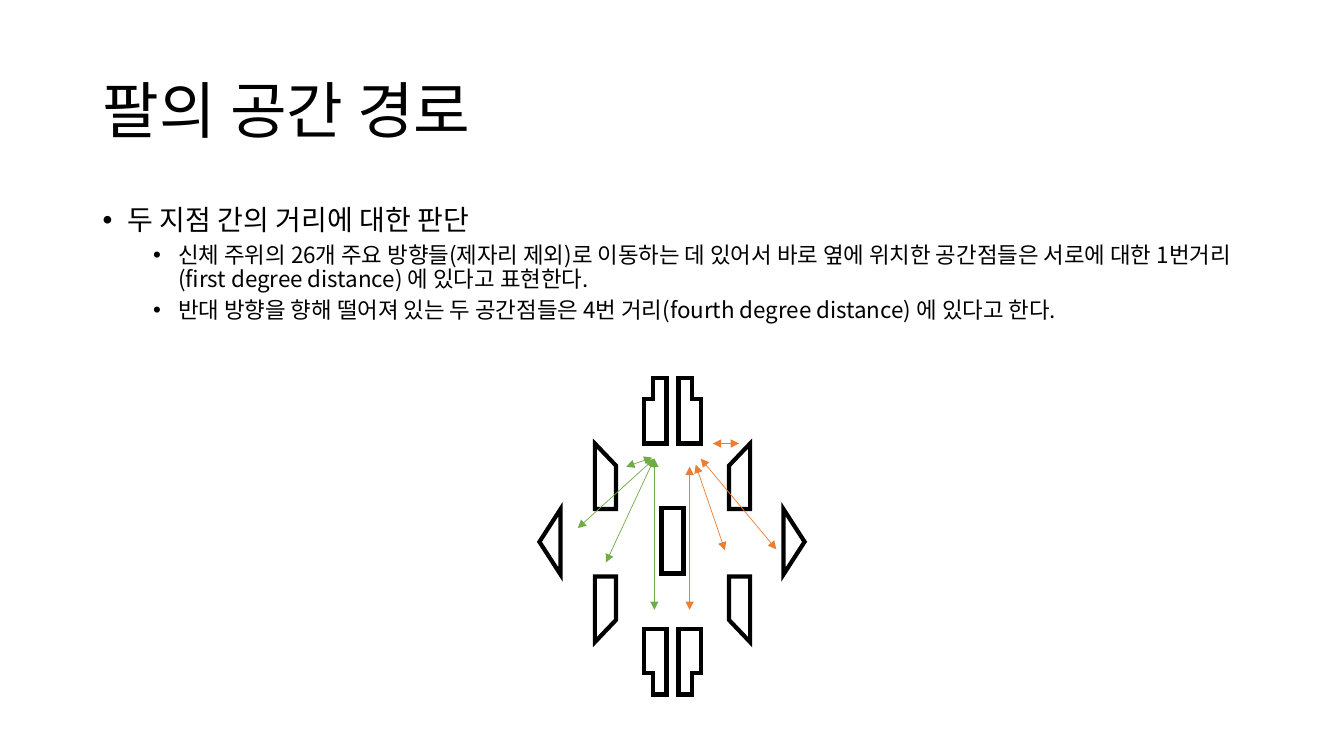
from itertools import product

from lxml.etree import SubElement
from pptx import Presentation
from pptx.dml.color import RGBColor
from pptx.enum.shapes import MSO_CONNECTOR, MSO_SHAPE
from pptx.enum.text import MSO_ANCHOR, MSO_AUTO_SIZE, PP_ALIGN
from pptx.oxml.ns import qn
from pptx.util import Inches, Pt

TITLE = "팔의 공간 경로"
BODY = [
    (0, "두 지점 간의 거리에 대한 판단"),
    (1, "신체 주위의 26개 주요 방향들(제자리 제외)로 이동하는 데 있어서 바로 옆에 위치한 "
        "공간점들은 서로에 대한 1번거리(first degree distance) 에 있다고 표현한다."),
    (1, "반대 방향을 향해 떨어져 있는 두 공간점들은 4번 거리(fourth degree distance) "
        "에 있다고 한다."),
]
THEME = {
    "font": "Noto Sans CJK KR", "ink": "000000", "paper": "FFFFFF",
    "orange": "ED7D31", "green": "70AD47",
    "title": 44, "levels": (20, 16), "outline": 3, "arrow": 0.5,
}
# Upper-left outlines, each with the height it is mirrored about
MID_X = 6.67
OUTLINES = [
    (5.32, [(6.48, 3.75), (6.61, 3.75), (6.61, 4.4),
            (6.39, 4.4), (6.39, 3.96), (6.48, 3.96)]),
    (5.385, [(5.9, 4.4), (6.11, 4.62), (6.11, 5.05), (5.9, 5.05)]),
]
# Preset shape, box, rotation
SIGNS = [
    (MSO_SHAPE.ISOSCELES_TRIANGLE, (7.55, 5.27, 0.65, 0.21), 90),
    (MSO_SHAPE.RECTANGLE, (6.56, 5.04, 0.22, 0.65), 0),
    (MSO_SHAPE.ISOSCELES_TRIANGLE, (5.13, 5.27, 0.65, 0.21), 270),
]
ARROWS = {
    "orange": [(7.07, 4.4, 7.33, 4.4), (6.95, 4.55, 7.7, 5.45),
               (6.9, 4.61, 7.19, 5.46), (6.84, 4.63, 6.84, 6.05)],
    "green": [(6.49, 4.55, 6.49, 6.05), (6.49, 4.55, 6.01, 5.58),
              (6.49, 4.55, 5.73, 5.24), (6.47, 4.54, 6.21, 4.63)],
}


def color(name):
    return RGBColor.from_string(THEME[name])


def inches(values):
    return [Inches(v) for v in values]


def assign(target, values):
    for name, value in values.items():
        setattr(target, name, value)


def write(para, text, size):
    run = para.add_run()
    run.text = text
    para.line_spacing = 0.9
    assign(run.font, {"size": Pt(size), "name": THEME["font"]})
    run.font.color.rgb = color("ink")
    SubElement(run.font._element, qn("a:ea"), typeface=THEME["font"])


def add_title(slide):
    title = slide.shapes.title
    assign(title, dict(zip(("left", "top", "width", "height"),
                           inches((0.92, 0.4, 11.5, 1.45)))))
    frame = title.text_frame
    assign(frame, {"vertical_anchor": MSO_ANCHOR.MIDDLE, "word_wrap": True,
                   "auto_size": MSO_AUTO_SIZE.NONE})
    para = frame.paragraphs[0]
    para.alignment = PP_ALIGN.LEFT
    write(para, TITLE, THEME["title"])


def add_body(slide):
    frame = slide.shapes.add_textbox(*inches((0.92, 2, 11.5, 1.4))).text_frame
    frame.word_wrap = True
    for i, (level, text) in enumerate(BODY):
        para = frame.add_paragraph() if i else frame.paragraphs[0]
        para.level = level
        if i:
            para.space_before = Pt(5)
        props = para._p.get_or_add_pPr()
        props.set("marL", str(Inches(0.25 + 0.5 * level)))
        props.set("indent", str(Inches(-0.25)))
        para.line_spacing = 0.9
        SubElement(props, qn("a:buFont"), typeface="Arial")
        SubElement(props, qn("a:buChar"), char="•")
        write(para, text, THEME["levels"][level])


def style(shape):
    shape.shadow.inherit = False
    shape.fill.solid()
    shape.fill.fore_color.rgb = color("paper")
    shape.line.color.rgb = color("ink")
    shape.line.width = Pt(THEME["outline"])
    SubElement(shape.line._ln, qn("a:miter"), lim="800000")


def add_signs(slide):
    for (mid_y, points), right, low in product(OUTLINES, (0, 1), (0, 1)):
        spots = [inches((2 * MID_X - x if right else x,
                         2 * mid_y - y if low else y)) for x, y in points]
        form = slide.shapes.build_freeform(*spots[0], scale=1.0)
        form.add_line_segments(spots[1:], close=True)
        style(form.convert_to_shape())
    for kind, box, turn in SIGNS:
        shape = slide.shapes.add_shape(kind, *inches(box))
        shape.rotation = turn
        style(shape)


def add_arrows(slide):
    for name, ends in ARROWS.items():
        for points in ends:
            arrow = slide.shapes.add_connector(MSO_CONNECTOR.STRAIGHT, *inches(points))
            arrow.line.color.rgb = color(name)
            arrow.line.width = Pt(THEME["arrow"])
            for tag in ("a:headEnd", "a:tailEnd"):
                SubElement(arrow.line._ln, qn(tag), type="triangle")
            SubElement(arrow._element.spPr, qn("a:effectLst"))


def main():
    deck = Presentation()
    assign(deck, {"slide_width": Inches(13.33), "slide_height": Inches(7.5)})
    slide = deck.slides.add_slide(deck.slide_layouts[5])
    for add in (add_title, add_body, add_signs, add_arrows):
        add(slide)
    deck.save("out.pptx")


if __name__ == "__main__":
    main()
